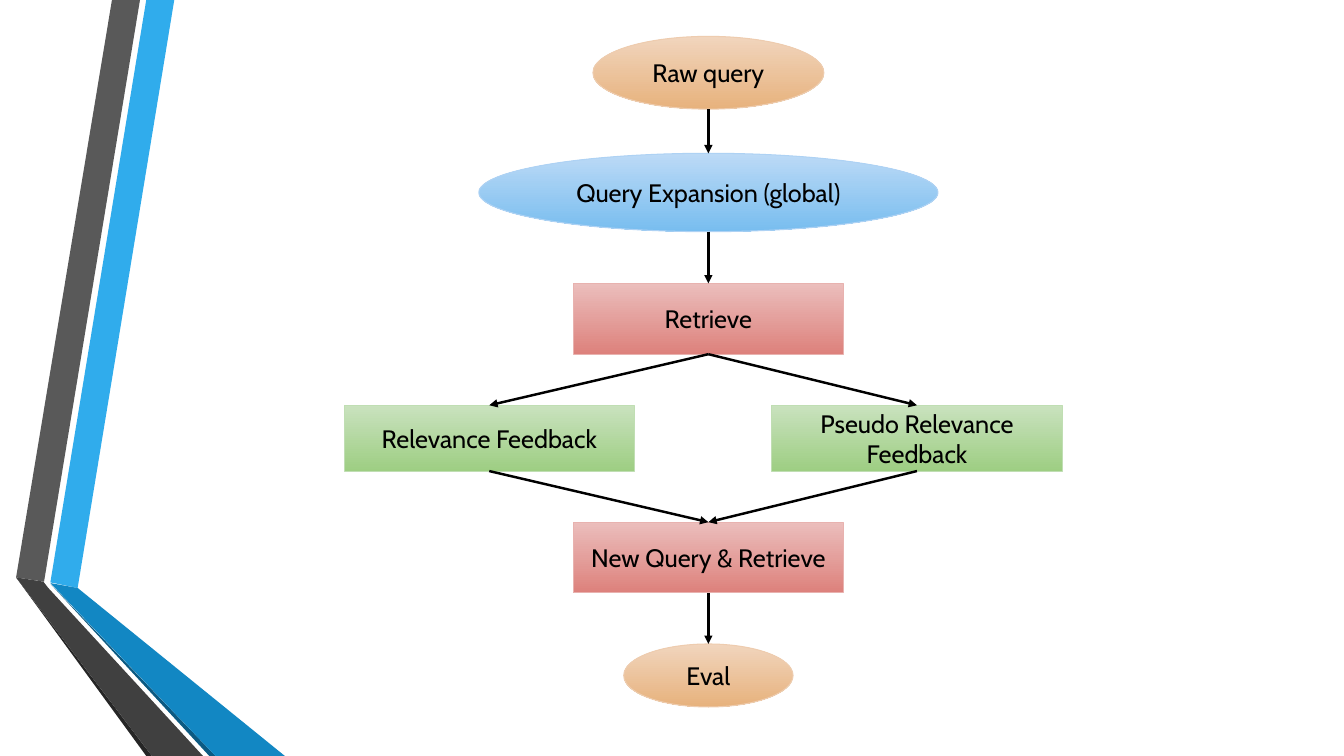
from lxml import etree
from pptx import Presentation
from pptx.dml.color import RGBColor
from pptx.enum.shapes import MSO_CONNECTOR, MSO_SHAPE
from pptx.enum.text import MSO_ANCHOR, PP_ALIGN
from pptx.oxml.ns import qn
from pptx.util import Pt

OVAL, RECTANGLE = MSO_SHAPE.OVAL, MSO_SHAPE.RECTANGLE
STRAIGHT = MSO_CONNECTOR.STRAIGHT
MIDDLE, CENTER = MSO_ANCHOR.MIDDLE, PP_ALIGN.CENTER
FONT = "Cabin"
BLANK_LAYOUT = 6

COLORS = {
    "ink": "000000",
    "blue": "30ACEC", "blue_fold": "1287C3", "blue_edge": "0C5A82",
    "gray": "595959", "gray_fold": "404040", "gray_edge": "262626",
    "orange_top": "F1D5BD", "orange_bottom": "E7B27D", "orange_line": "EECCAF",
    "sky_top": "BCDAF6", "sky_bottom": "78BDEF", "sky_line": "AED2F4",
    "red_top": "EBBEBC", "red_bottom": "DD817C", "red_line": "E8B2AF",
    "green_top": "C9E2BE", "green_bottom": "9ECE83", "green_line": "C0DEB3",
}

RIBBONS = [
    ("blue", [(24.5, 416), (44, 420), (113, 0), (93, 0)]),
    ("gray", [(88.5, 0), (68.5, 0), (0, 412.5), (20, 415.5)]),
    ("gray_edge", [(0, 412.5), (93, 540), (97, 540)]),
    ("blue_edge", [(24.5, 417), (138, 540), (142.5, 540)]),
    ("blue_fold", [(24.5, 416.5), (142.5, 540), (192, 540), (44, 420)]),
    ("gray_fold", [(133.5, 540), (23, 420), (19.5, 415.5), (0, 412.5), (97, 540)]),
]

# key: (text, shape, color, center x, top, width, height)
STEPS = {
    "raw": ("Raw query", OVAL, "orange", 163, 0, 165, 52),
    "expand": ("Query Expansion (global)", OVAL, "sky", 163, 83.5, 328, 56),
    "retrieve": ("Retrieve", RECTANGLE, "red", 163, 176.5, 193, 50.5),
    "feedback": ("Relevance Feedback", RECTANGLE, "green", 6.5, 263.5, 207.5, 47),
    "pseudo": ("Pseudo Relevance Feedback", RECTANGLE, "green", 312, 263.5, 207.5, 47),
    "again": ("New Query & Retrieve", RECTANGLE, "red", 163, 347, 193, 50.5),
    "eval": ("Eval", OVAL, "orange", 163, 434, 121, 45),
}

FLOWS = [
    ("raw", "expand"), ("expand", "retrieve"),
    ("retrieve", "feedback"), ("retrieve", "pseudo"),
    ("feedback", "again"), ("pseudo", "again"), ("again", "eval"),
]


def color(name):
    """Return the named colour."""
    return RGBColor.from_string(COLORS[name])


def add_ribbons(page, left, top):
    """Draw the two folded ribbons from the given corner."""
    for name, corners in RIBBONS:
        points = [(Pt(left + x), Pt(top + y)) for x, y in corners]
        builder = page.shapes.build_freeform(*points[0])
        builder.add_line_segments(points[1:])
        ribbon = builder.convert_to_shape()
        ribbon.shadow.inherit = False
        ribbon.fill.solid()
        ribbon.fill.fore_color.rgb = color(name)
        ribbon.line.fill.background()


def add_step(page, left, top, step):
    """Draw one step of the flow with its gradient and label."""
    text, kind, tint, center, offset, width, height = step
    box = page.shapes.add_shape(
        kind, Pt(left + center - width / 2), Pt(top + offset), Pt(width), Pt(height))
    box.shadow.inherit = False
    box.fill.gradient()
    box.fill.gradient_angle = 270
    for stop, end in zip(box.fill.gradient_stops, ("top", "bottom")):
        stop.color.rgb = color(f"{tint}_{end}")
    box.line.color.rgb = color(f"{tint}_line")
    box.line.width = Pt(0.75)
    frame = box.text_frame
    frame.text = text
    frame.word_wrap = True
    frame.vertical_anchor = MIDDLE
    para = frame.paragraphs[0]
    para.alignment = CENTER
    font = para.runs[0].font
    font.name, font.size = FONT, Pt(18)
    font.color.rgb = color("ink")
    return box


def add_arrow(page, source, target):
    """Draw an arrow from the bottom of one box to the top of another."""
    arrow = page.shapes.add_connector(
        STRAIGHT, source.left + source.width // 2, source.top + source.height,
        target.left + target.width // 2, target.top)
    arrow.line.color.rgb = color("ink")
    arrow.line.width = Pt(1.75)
    etree.SubElement(arrow.line._get_or_add_ln(), qn("a:tailEnd"), type="triangle")
    etree.SubElement(arrow._element.spPr, qn("a:effectLst"))


def add_flowchart(page, left, top):
    """Draw all steps and the arrows between them."""
    boxes = {key: add_step(page, left, top, step) for key, step in STEPS.items()}
    for source, target in FLOWS:
        add_arrow(page, boxes[source], boxes[target])


def main():
    """Build the deck and save it."""
    deck = Presentation()
    deck.slide_width, deck.slide_height = Pt(960), Pt(540)
    page = deck.slides.add_slide(deck.slide_layouts[BLANK_LAYOUT])
    add_ribbons(page, 11.5, 0)
    add_flowchart(page, 343, 26)
    deck.save("out.pptx")


if __name__ == "__main__":
    main()
